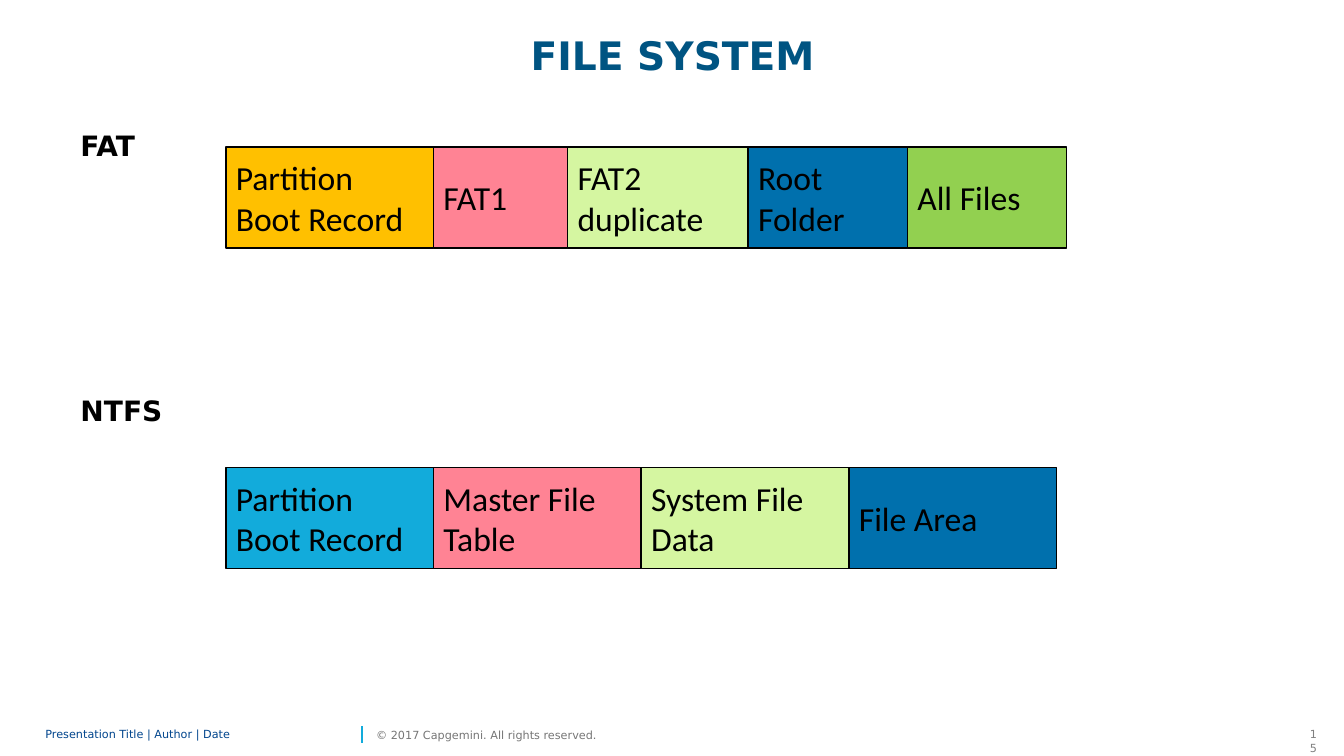
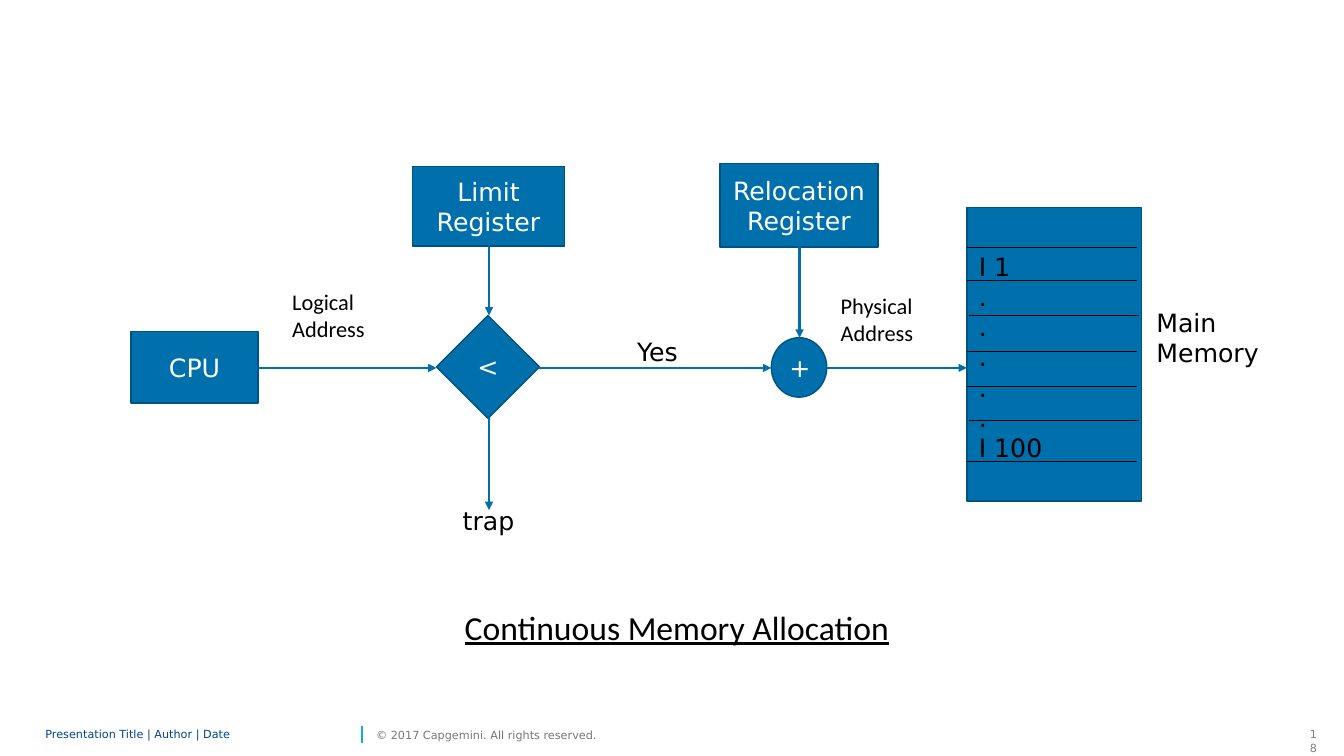
from dataclasses import dataclass
from typing import NamedTuple

from pptx import Presentation
from pptx import util as u
from pptx.dml.color import RGBColor
from pptx.enum import shapes, text
from pptx.oxml.ns import qn
from lxml import etree

SCALE = 9144  # EMU per px, 100 px to the inch
MSO, ALIGN, ANCHOR = shapes.MSO_SHAPE, text.PP_ALIGN, text.MSO_ANCHOR


@dataclass(frozen=True)
class Theme:
    sans: str = "DejaVu Sans"
    body: str = "Calibri"
    black: str = "000000"
    white: str = "FFFFFF"
    title: str = "005482"
    blue: str = "0070AD"
    edge: str = "005380"
    cyan: str = "12ABDB"
    pink: str = "FF8394"
    lime: str = "D5F6A1"
    amber: str = "FFC000"
    green: str = "92D050"
    navy: str = "00458D"
    gray: str = "767676"
    silver: str = "808080"
    tiny: int = 8
    note: int = 16
    label: int = 18
    head: int = 20
    large: int = 24
    huge: int = 28


T = Theme()


class Box(NamedTuple):
    x: int
    y: int
    w: int
    h: int


class Style(NamedTuple):
    size: int
    font: str = T.sans
    color: str = T.black
    bold: bool = False
    under: bool = False
    align: ALIGN = ALIGN.LEFT
    lead: float = 1.0


class Cell(NamedTuple):
    words: str
    w: int
    fill: str


class Node(NamedTuple):
    words: str
    box: Box
    form: MSO


class Label(NamedTuple):
    words: str
    box: Box
    style: Style


class Line(NamedTuple):
    x1: int
    y1: int
    x2: int
    y2: int
    bent: bool = False


HEAD = Style(T.head, bold=True)
CELL = Style(T.large, T.body)
NODE = Style(T.label, color=T.white, align=ALIGN.CENTER)
NOTE = Style(T.note, T.body)
LABEL = Style(T.label)


# Drawing helpers
def px(n: int) -> u.Emu:
    return u.Emu(n * SCALE)


def rgb(code: str) -> RGBColor:
    return RGBColor.from_string(code)


def write(shape, words: str, style: Style, anchor=ANCHOR.MIDDLE) -> None:
    frame = shape.text_frame
    frame.text = words
    frame.vertical_anchor = anchor
    for para in frame.paragraphs:
        para.alignment = style.align
        if style.lead != 1:
            para.line_spacing = style.lead
        for run in para.runs:
            font = run.font
            font.name, font.size = style.font, u.Pt(style.size)
            font.bold, font.underline = style.bold, style.under
            font.color.rgb = rgb(style.color)


def add_text(slide, item: Label, wrap: bool = False, flush: bool = False) -> None:
    shape = slide.shapes.add_textbox(*map(px, item.box))
    frame = shape.text_frame
    frame.word_wrap = wrap
    if flush:
        frame.margin_left = frame.margin_right = 0
        frame.margin_top = frame.margin_bottom = 0
    write(shape, item.words, item.style, ANCHOR.MIDDLE if flush else ANCHOR.TOP)


def add_node(slide, node: Node, fill: str, edge: str, style: Style) -> None:
    shape = slide.shapes.add_shape(node.form, *map(px, node.box))
    shape.shadow.inherit = False
    shape.fill.solid()
    shape.fill.fore_color.rgb = rgb(fill)
    shape.line.color.rgb = rgb(edge)
    shape.line.width = u.Pt(1)
    if node.words:
        write(shape, node.words, style)


def add_line(slide, line: Line, color: str, width: float, arrow: bool = False) -> None:
    form = shapes.MSO_CONNECTOR.ELBOW if line.bent else shapes.MSO_CONNECTOR.STRAIGHT
    conn = slide.shapes.add_connector(form, *map(px, line[:4]))
    conn.line.color.rgb = rgb(color)
    conn.line.width = u.Pt(width)
    props = conn._element.spPr
    if arrow:
        etree.SubElement(props.find(qn("a:ln")), qn("a:tailEnd"), type="triangle")
    etree.SubElement(props, qn("a:effectLst"))


# Shared parts
def add_footer(slide, page: int) -> None:
    number = Style(T.tiny, color=T.silver, align=ALIGN.RIGHT)
    add_text(slide, Label(str(page), Box(1289, 717, 27, 24), number), wrap=True)
    add_line(slide, Line(359, 737, 359, 720), T.cyan, 1)
    for item in (
        Label("Presentation Title | Author | Date", Box(45, 717, 309, 24),
              Style(T.tiny, color=T.navy, lead=0.85)),
        Label("© 2017 Capgemini. All rights reserved.", Box(373, 717, 243, 24),
              Style(T.tiny, color=T.gray)),
    ):
        add_text(slide, item, wrap=True, flush=True)


def new_slide(deck, page: int, title: str = ""):
    slide = deck.slides.add_slide(deck.slide_layouts[5 if title else 6])
    add_footer(slide, page)
    if title:
        head = slide.shapes.title
        head.left, head.top, head.width, head.height = map(px, (433, 31, 468, 62))
        head.text_frame.auto_size = text.MSO_AUTO_SIZE.NONE
        write(head, title, Style(T.huge, color=T.title, bold=True,
                                 align=ALIGN.CENTER, lead=0.9), ANCHOR.TOP)
    return slide


# File system slide
def add_row(slide, y: int, cells: list[Cell]) -> None:
    x = 224
    for cell in cells:
        node = Node(cell.words, Box(x, y, cell.w, 100), MSO.RECTANGLE)
        add_node(slide, node, cell.fill, T.black, CELL)
        x += cell.w


def draw_files(deck) -> None:
    slide = new_slide(deck, 15, "FILE SYSTEM")
    for words, y in (("FAT", 123), ("NTFS", 385)):
        add_text(slide, Label(words, Box(70, y, 220, 44), HEAD), wrap=True)
    add_row(slide, 146, [
        Cell("Partition Boot Record", 206, T.amber),
        Cell("FAT1", 133, T.pink),
        Cell("FAT2 duplicate", 179, T.lime),
        Cell("Root Folder", 158, T.blue),
        Cell("All Files", 158, T.green),
    ])
    add_row(slide, 464, [
        Cell("Partition Boot Record", 206, T.cyan),
        Cell("Master File Table", 206, T.pink),
        Cell("System File Data", 206, T.lime),
        Cell("File Area", 206, T.blue),
    ])


# Memory allocation slide
def draw_memory(deck) -> None:
    slide = new_slide(deck, 18)
    for node in (
        Node("CPU", Box(130, 329, 126, 71), MSO.RECTANGLE),
        Node("", Box(959, 206, 173, 291), MSO.RECTANGLE),
        Node("<", Box(433, 313, 102, 102), MSO.DIAMOND),
        Node("+", Box(765, 335, 55, 59), MSO.FLOWCHART_CONNECTOR),
        Node("Limit\nRegister", Box(409, 165, 151, 79), MSO.FLOWCHART_PROCESS),
        Node("Relocation\nRegister", Box(714, 162, 157, 83), MSO.FLOWCHART_PROCESS),
    ):
        add_node(slide, node, T.blue, T.edge, NODE)

    # Data flow
    for line in (
        Line(256, 365, 433, 365),
        Line(485, 244, 485, 313),
        Line(535, 365, 765, 365),
        Line(820, 365, 959, 365, bent=True),
        Line(793, 245, 793, 335),
        Line(485, 415, 485, 506),
    ):
        add_line(slide, line, T.blue, 1.5, arrow=True)

    # Memory rows
    for x, y in ((959, 245), (959, 278), (961, 313), (959, 349),
                 (959, 383), (961, 417), (959, 458)):
        add_line(slide, Line(x, y, x + 169, y), T.black, 0.5)

    # Labels and caption
    rows = "\n".join(["I 1", *"." * 5, "I 100"])
    for item in (
        Label("Logical\nAddress", Box(280, 281, 93, 64), NOTE),
        Label("Yes", Box(622, 329, 62, 40), LABEL),
        Label("Physical\nAddress", Box(824, 285, 93, 64), NOTE),
        Label("trap", Box(449, 496, 71, 40), LABEL),
        Label("Main\nMemory", Box(1137, 300, 122, 71), LABEL),
        Label(rows, Box(961, 244, 97, 252), LABEL),
        Label("Continuous Memory Allocation", Box(451, 597, 445, 50),
              Style(T.large, T.body, under=True)),
    ):
        add_text(slide, item)


def main() -> None:
    deck = Presentation()
    deck.slide_width, deck.slide_height = px(1333), px(750)
    draw_files(deck)
    draw_memory(deck)
    deck.save("out.pptx")


if __name__ == "__main__":
    main()
